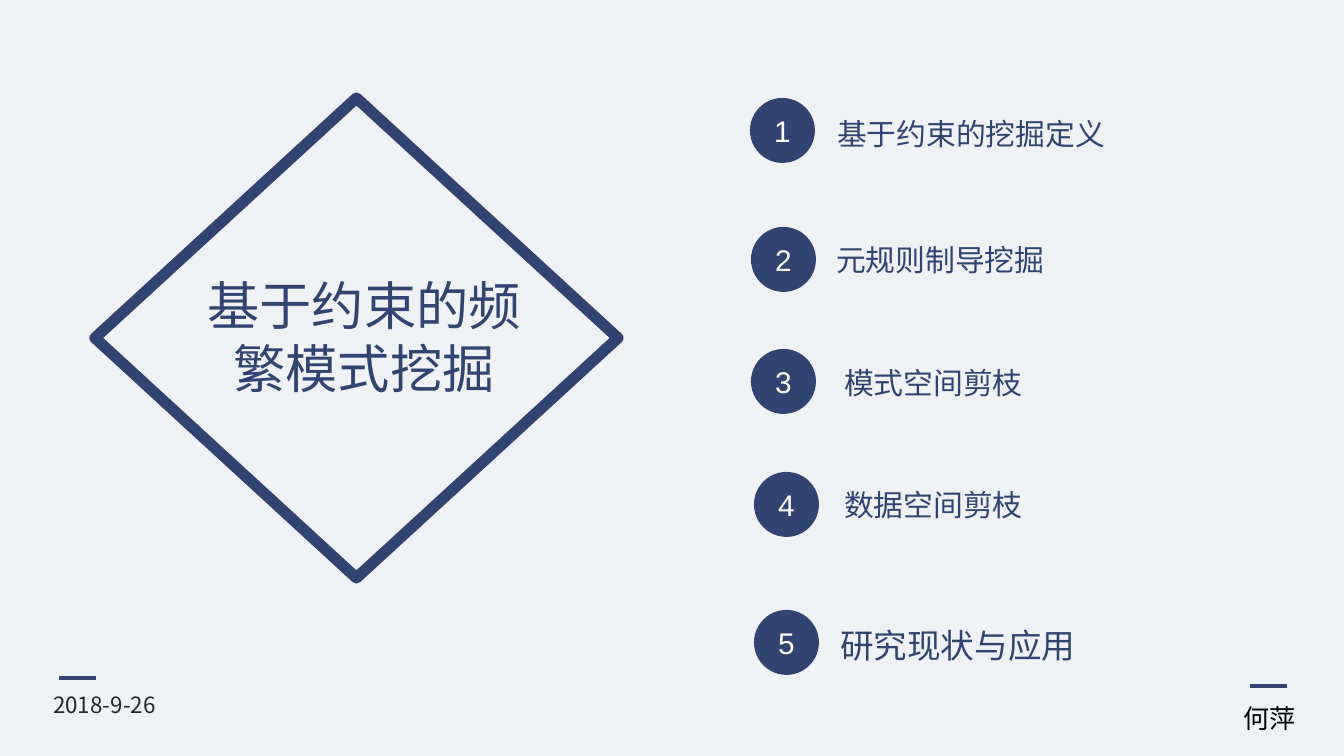
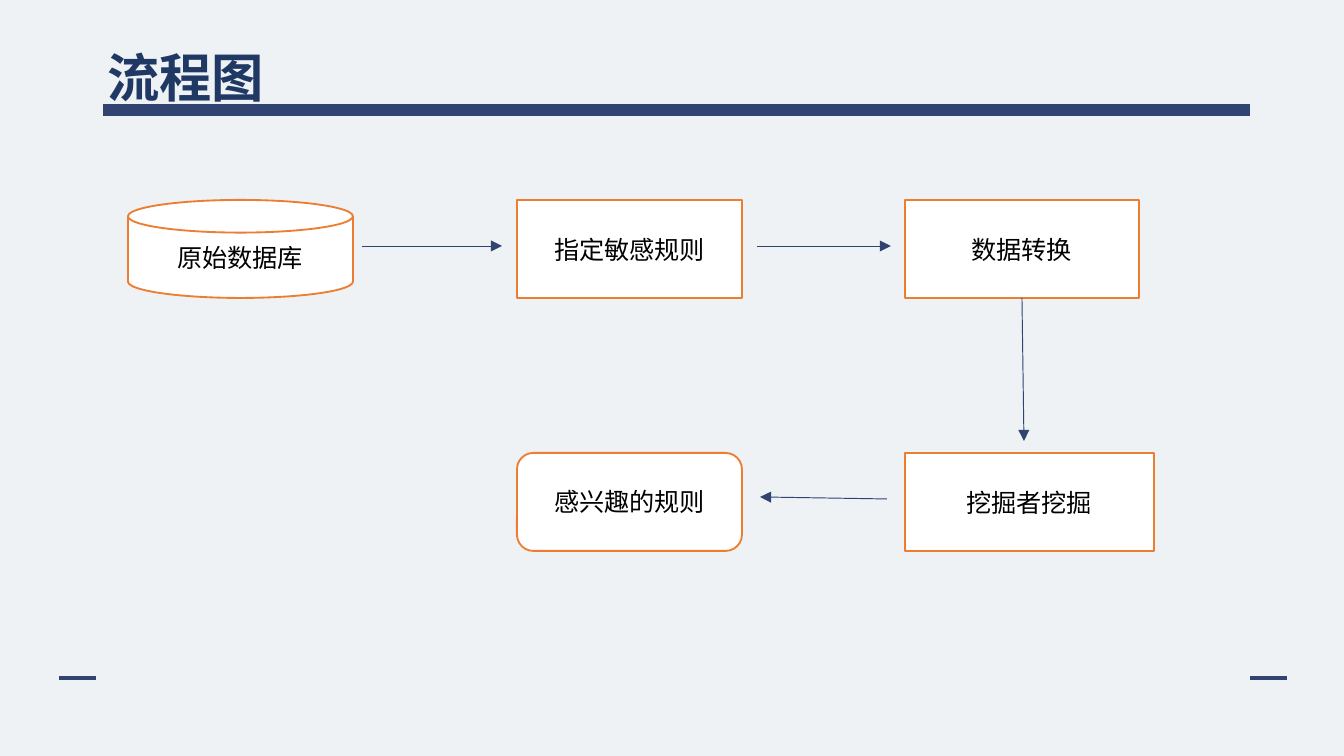
from lxml.etree import SubElement
from pptx import Presentation
from pptx.dml.color import RGBColor
from pptx.enum.shapes import MSO_CONNECTOR, MSO_SHAPE
from pptx.enum.text import MSO_ANCHOR, MSO_AUTO_SIZE, PP_ALIGN
from pptx.oxml.ns import qn
from pptx.util import Pt

SCALE = 914400 / 134.4  # EMU in one px
NAVY, TITLE_NAVY, ORANGE = "304371", "203864", "ED7D31"
PAPER, WHITE, BLACK, DARK = "EEF2F5", "FFFFFF", "000000", "262626"
CJK, LATIN, DIGIT = "Noto Sans CJK SC", "Calibri", "Arial"

# Content: agenda
TOPIC = "基于约束的频繁模式挖掘"
DATE, AUTHOR = "2018-9-26", "何萍"
CIRCLE = 65
AGENDA = [  # text, circle left and top, label box, size, font
    ("基于约束的挖掘定义", (750, 98), (824, 109, 298, 50), 16, CJK),
    ("元规则制导挖掘", (751, 227), (823, 235, 238, 50), 16, CJK),
    ("模式空间剪枝", (751, 349), (831, 358, 208, 50), 16, CJK),
    ("数据空间剪枝", (754, 472), (831, 480, 208, 50), 16, CJK),
    ("研究现状与应用", (754, 610), (827, 618, 265, 54), 18, LATIN),
]

# Content: flow chart
FLOW_TITLE = "流程图"
ROWS, COLUMNS, STEP_HEIGHT = (200, 453), (128, 517, 905), 98
STEPS = [  # text, preset, row, column, width
    ("原始数据库", MSO_SHAPE.FLOWCHART_MAGNETIC_DISK, 0, 0, 225),
    ("指定敏感规则", MSO_SHAPE.RECTANGLE, 0, 1, 225),
    ("数据转换", MSO_SHAPE.RECTANGLE, 0, 2, 234),
    ("挖掘者挖掘", MSO_SHAPE.RECTANGLE, 1, 2, 249),
    ("感兴趣的规则", MSO_SHAPE.ROUNDED_RECTANGLE, 1, 1, 225),
]
ARROWS = [  # start, end, step whose bottom it leaves
    ((362, 246), (502, 246), None),
    ((757, 246), (891, 246), None),
    ((1022, 298), (1024, 441), "数据转换"),
    ((887, 499), (760, 497), None),
]


def px(*lengths):
    return [round(length * SCALE) for length in lengths]


def color(hex_string):
    return RGBColor.from_string(hex_string)


def write(shape, text, size, font_name, hex_color, centered=False, bold=False):
    paragraph = shape.text_frame.paragraphs[0]
    paragraph.alignment = PP_ALIGN.CENTER if centered else PP_ALIGN.LEFT
    run = paragraph.add_run()
    run.text = text
    font = run.font
    font.size, font.bold, font.name = Pt(size), bold, font_name
    font.color.rgb = color(hex_color)
    SubElement(run._r.get_or_add_rPr(), qn("a:ea")).set("typeface", CJK)


def add_text(slide, box, text, size, font_name, hex_color, wrap=False, **style):
    shape = slide.shapes.add_textbox(*px(*box))
    shape.text_frame.word_wrap = wrap
    shape.text_frame.auto_size = MSO_AUTO_SIZE.SHAPE_TO_FIT_TEXT
    write(shape, text, size, font_name, hex_color, **style)


def add_shape(slide, preset, box, fill=None, line=None, line_width=1):
    shape = slide.shapes.add_shape(preset, *px(*box))
    shape.shadow.inherit = False
    shape.text_frame.vertical_anchor = MSO_ANCHOR.MIDDLE
    if fill:
        shape.fill.solid()
        shape.fill.fore_color.rgb = color(fill)
    else:
        shape.fill.background()
    if line:
        shape.line.color.rgb = color(line)
        shape.line.width = Pt(line_width)
    else:
        shape.line.fill.background()
    return shape


def add_line(slide, start, end, width, arrow=False):
    connector = slide.shapes.add_connector(MSO_CONNECTOR.STRAIGHT, *px(*start, *end))
    connector.line.color.rgb = color(NAVY)
    connector.line.width = Pt(width)
    if arrow:
        SubElement(connector.line._get_or_add_ln(), qn("a:tailEnd")).set("type", "triangle")
    SubElement(connector._element.spPr, qn("a:effectLst"))
    return connector


def add_slide(presentation, right_dash_y=678):
    """Blank slide with the two footer dashes."""
    slide = presentation.slides.add_slide(presentation.slide_layouts[6])
    for x, y in ((1250, right_dash_y), (59, 678)):
        add_line(slide, (x, y), (x + 37, y), 2.25)
    return slide


def build_agenda(presentation):
    slide = add_slide(presentation, right_dash_y=686)

    # Topic in a diamond
    add_shape(slide, MSO_SHAPE.DIAMOND, (95, 98, 523, 480), line=NAVY, line_width=6)
    add_text(slide, (180, 267, 368, 231), TOPIC, 28, CJK, NAVY, wrap=True, centered=True)

    # Numbered items
    for number, (text, corner, label_box, size, font_name) in enumerate(AGENDA, 1):
        circle = add_shape(slide, MSO_SHAPE.OVAL, (*corner, CIRCLE, CIRCLE), fill=NAVY)
        write(circle, str(number), 16, DIGIT, WHITE, centered=True)
        add_text(slide, label_box, text, size, font_name, NAVY)

    # Date and author
    add_text(slide, (40, 685, 140, 40), DATE, 12, CJK, DARK)
    add_text(slide, (1211, 696, 117, 46), AUTHOR, 14, LATIN, BLACK, wrap=True, centered=True)


def build_flow(presentation):
    slide = add_slide(presentation)

    # Title over its band
    add_line(slide, (103, 110), (1250, 110), 6)
    add_text(slide, (94, 39, 569, 77), FLOW_TITLE, 28, LATIN, TITLE_NAVY, wrap=True, bold=True)

    # Steps
    steps = {}
    for text, preset, row, column, width in STEPS:
        box = (COLUMNS[column], ROWS[row], width, STEP_HEIGHT)
        steps[text] = add_shape(slide, preset, box, fill=WHITE, line=ORANGE)
        write(steps[text], text, 13.5, LATIN, BLACK, centered=True)

    # Arrows
    for start, end, source in ARROWS:
        arrow = add_line(slide, start, end, 0.5, arrow=True)
        if source:
            arrow.begin_connect(steps[source], 2)


def main():
    presentation = Presentation()
    presentation.slide_width, presentation.slide_height = px(1344, 756)
    background = presentation.slide_master.background.fill
    background.solid()
    background.fore_color.rgb = color(PAPER)
    build_agenda(presentation)
    build_flow(presentation)
    presentation.save("out.pptx")


if __name__ == "__main__":
    main()
